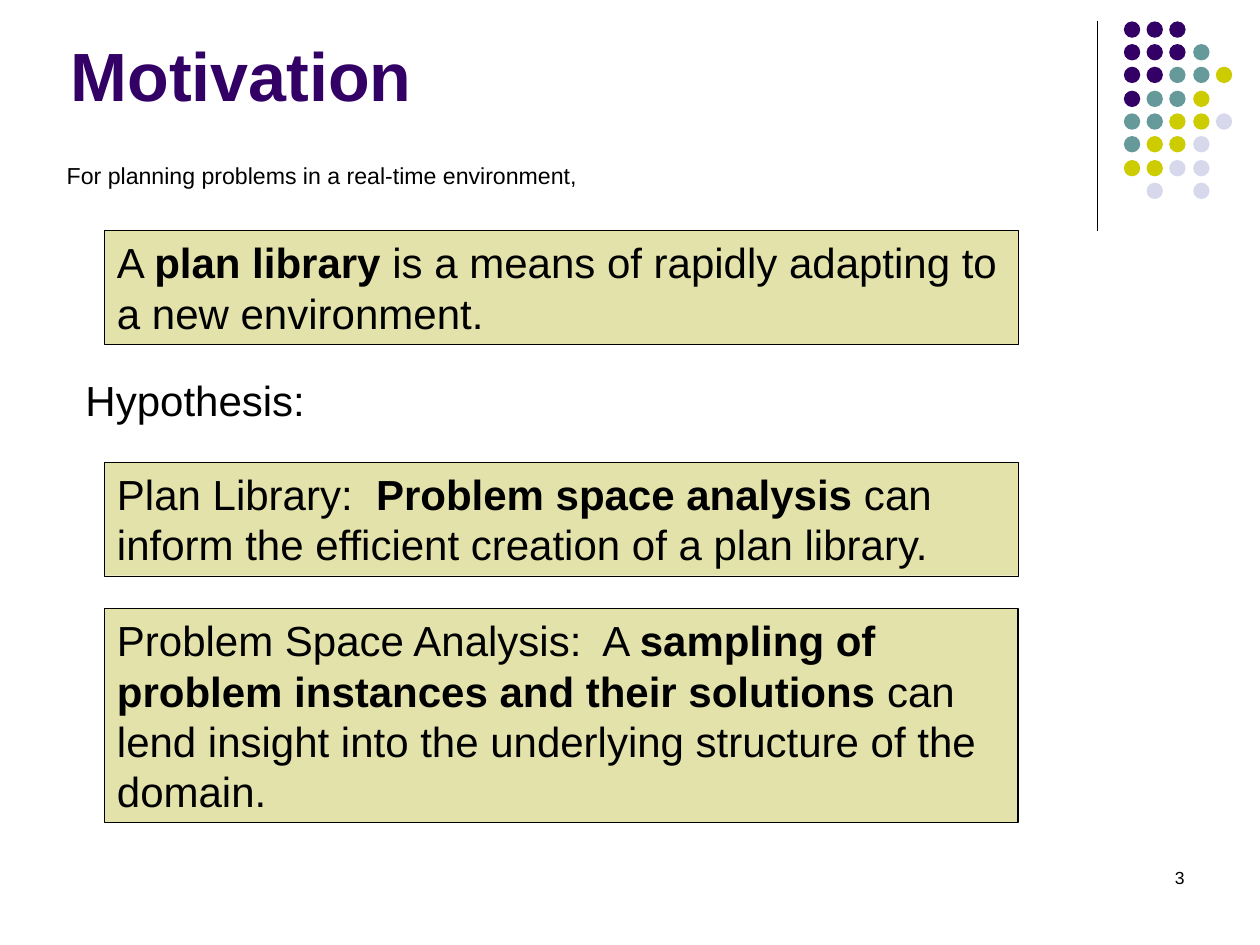
from pptx import Presentation
from pptx.dml.color import RGBColor
from pptx.enum.shapes import MSO_CONNECTOR, MSO_SHAPE
from pptx.enum.text import MSO_ANCHOR, PP_ALIGN
from pptx.oxml.ns import qn
from pptx.util import Pt

LINE = MSO_CONNECTOR.STRAIGHT
RECT, OVAL = MSO_SHAPE.RECTANGLE, MSO_SHAPE.OVAL
TOP, BOTTOM = MSO_ANCHOR.TOP, MSO_ANCHOR.BOTTOM
LEFT, RIGHT = PP_ALIGN.LEFT, PP_ALIGN.RIGHT

PX = 9144
COLORS = {
    "black": "000000",
    "purple": "330066",
    "teal": "669999",
    "lime": "CCCC00",
    "lavender": "D8D8EC",
    "box": "E2E2AA",
}
DOT_COLORS = {"P": "purple", "T": "teal", "Y": "lime", "V": "lavender"}
DOT_ROWS = ["PPP", "PPPT", "PPTTY", "PTTY", "TTYYV", "TYYV", "YYVV", " V V"]


def px(*values):
    return [v * PX for v in values]


def rgb(name):
    return RGBColor.from_string(COLORS[name])


def write(tf, runs, size=24, color="black", bold=False, align=LEFT,
          anchor=TOP, insets=(10, 5, 10, 5), leading=None):
    tf.word_wrap = True
    tf.vertical_anchor = anchor
    tf.margin_left, tf.margin_top, tf.margin_right, tf.margin_bottom = px(*insets)
    p = tf.paragraphs[0]
    p.alignment = align
    if leading:
        p.line_spacing = Pt(leading)
    for i, text in enumerate(runs):
        r = p.add_run()
        r.text = text
        r.font.name = "Arial"
        r.font.size = Pt(size)
        r.font.bold = bold or i % 2 == 1
        r.font.color.rgb = rgb(color)


class Deck:
    def __init__(self):
        self.prs = Presentation()
        self.prs.slide_width, self.prs.slide_height = px(1000, 750)
        self.s = self.prs.slides.add_slide(self.prs.slide_layouts[6])

    def text(self, x, y, w, h, *runs, **fmt):
        tb = self.s.shapes.add_textbox(*px(x, y, w, h))
        write(tb.text_frame, runs, **fmt)

    def shape(self, kind, x, y, w, h, fill):
        sp = self.s.shapes.add_shape(kind, *px(x, y, w, h))
        sp.shadow.inherit = False
        sp.fill.solid()
        sp.fill.fore_color.rgb = rgb(fill)
        sp.line.fill.background()
        return sp

    def box(self, y, h, *runs, weight=0.25):
        sp = self.shape(RECT, 83, y, 725, h, "box")
        sp.line.color.rgb = rgb("black")
        sp.line.width = Pt(weight)
        write(sp.text_frame, runs, leading=28.8)

    def rule(self, x1, y1, x2, y2):
        c = self.s.shapes.add_connector(LINE, *px(x1, y1, x2, y2))
        c.line.color.rgb = rgb("black")
        c.line.width = Pt(0.75)
        spPr = c._element.spPr
        spPr.append(spPr.makeelement(qn("a:effectLst"), {}))

    def dots(self, x, y, size):
        for row, codes in enumerate(DOT_ROWS):
            for col, code in enumerate(codes):
                if code in DOT_COLORS:
                    self.shape(OVAL, x + col * 55 // 3, y + row * 55 // 3,
                               size, size, DOT_COLORS[code])


def main():
    d = Deck()
    d.rule(871, 17, 871, 183)
    d.dots(892, 17, 13)
    d.text(50, 13, 825, 142, "Motivation", size=39, color="purple", bold=True,
           anchor=BOTTOM, insets=(6, 3, 6, 65))
    d.text(25, 117, 900, 112, "For planning problems in a real-time environment,",
           size=13.2, insets=(28, 11, 10, 5))
    d.text(717, 683, 233, 50, "3", size=10, align=RIGHT)
    d.box(367, 90, "Plan Library:  ", "Problem space analysis ",
          "can inform the efficient creation of a plan library.")
    d.box(483, 170, "Problem Space Analysis:  A ",
          "sampling of problem instances and their solutions",
          " can lend insight into the underlying structure of the domain.",
          weight=0.75)
    d.box(183, 90, "A ", "plan library ",
          "is a means of rapidly adapting to a new environment.")
    d.text(58, 292, 325, 50, "Hypothesis:", leading=28.8)
    d.prs.save("out.pptx")


if __name__ == "__main__":
    main()
